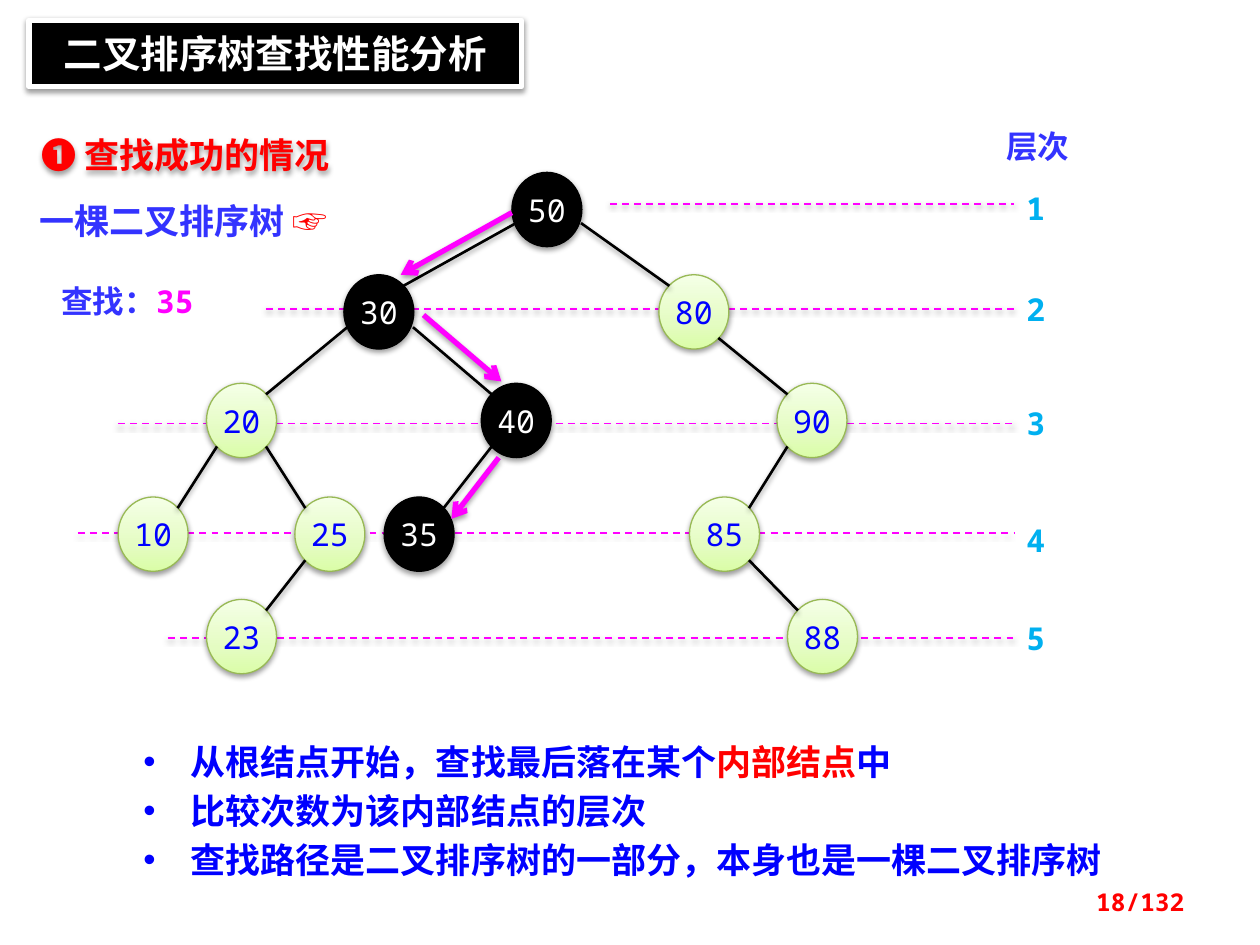
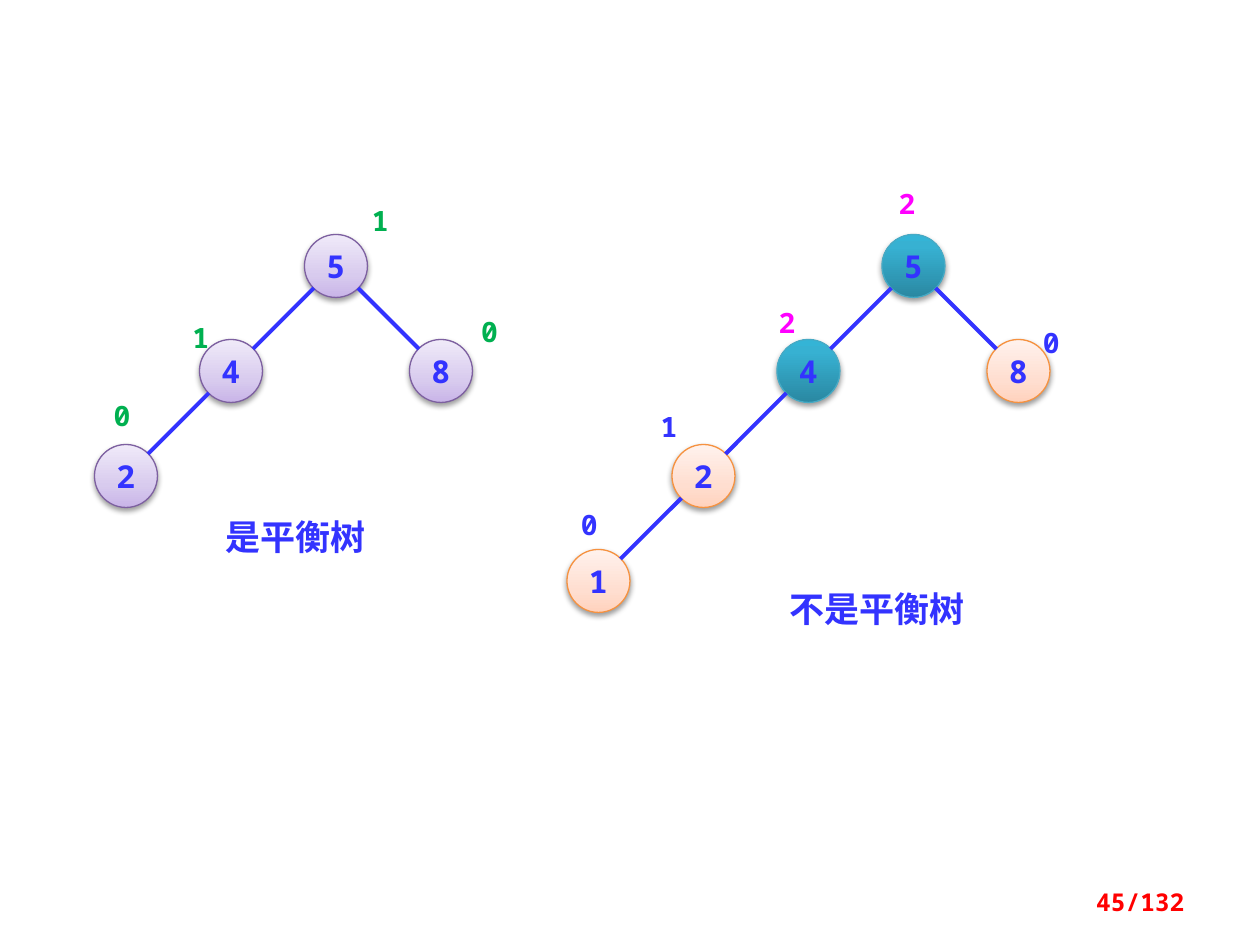
from lxml import etree
from pptx import Presentation
from pptx.dml.color import RGBColor
from pptx.enum.dml import MSO_LINE
from pptx.enum.shapes import MSO_CONNECTOR, MSO_SHAPE
from pptx.enum.text import MSO_ANCHOR, MSO_AUTO_SIZE, PP_ALIGN
from pptx.oxml import parse_xml
from pptx.oxml.ns import nsdecls, qn
from pptx.util import Pt

# Shared colours and fonts
BLACK = RGBColor(0x00, 0x00, 0x00)
WHITE = RGBColor(0xFF, 0xFF, 0xFF)
RED = RGBColor(0xFF, 0x00, 0x00)
BLUE = RGBColor(0x00, 0x00, 0xFF)
INDIGO = RGBColor(0x33, 0x33, 0xFF)
MAGENTA = RGBColor(0xFF, 0x00, 0xFF)
SKY = RGBColor(0x00, 0xB0, 0xF0)
GREEN = RGBColor(0x00, 0xB0, 0x50)
LIME_EDGE = RGBColor(0x98, 0xB9, 0x55)
LILAC_EDGE = RGBColor(0x7D, 0x60, 0xA0)
PEACH_EDGE = RGBColor(0xF6, 0x92, 0x40)
TEAL_EDGE = RGBColor(0x46, 0xAA, 0xC5)

# Gradient stops, from bottom to top
LIME = [(0, RGBColor(0xDA, 0xFD, 0xA7)), (35, RGBColor(0xE4, 0xFC, 0xC2)),
        (100, RGBColor(0xF5, 0xFF, 0xE7))]
LILAC = [(0, RGBColor(0xC9, 0xB5, 0xE8)), (35, RGBColor(0xD8, 0xCB, 0xEE)),
         (100, RGBColor(0xF0, 0xEA, 0xF9))]
PEACH = [(0, RGBColor(0xFF, 0xD2, 0xBD)), (35, RGBColor(0xFF, 0xDE, 0xD0)),
         (100, RGBColor(0xFF, 0xF2, 0xED))]
TEAL = [(0, RGBColor(0x2A, 0x88, 0xA2)), (80, RGBColor(0x37, 0xB1, 0xD2)),
        (100, RGBColor(0x34, 0xB4, 0xD6))]

# Node style: fill, outline, text colour
PLAIN = (LIME, LIME_EDGE, BLUE)
VISITED = (BLACK, BLACK, WHITE)
BALANCED = (LILAC, LILAC_EDGE, INDIGO)
LIGHT = (PEACH, PEACH_EDGE, INDIGO)
HEAVY = (TEAL, TEAL_EDGE, INDIGO)

MONO = "Noto Sans Mono"
CJK = "Noto Sans CJK SC"
SHADOW = (f'<a:effectLst {nsdecls("a")}><a:outerShdw blurRad="40000" dist="20000" '
          'dir="5400000" rotWithShape="0"><a:srgbClr val="000000">'
          '<a:alpha val="38000"/></a:srgbClr></a:outerShdw></a:effectLst>')
NO_SHADOW = f'<a:effectLst {nsdecls("a")}/>'


def put(s, geom, box, paras, size=18, font=MONO, bold=True, fill=None, line=None,
        line_width=0.75, shadow=False, align=PP_ALIGN.LEFT, anchor=MSO_ANCHOR.TOP,
        inset=(7.2, 3.6), grow=True, wrap=True, spacing=None, bullet=False):
    """Add a preset shape, or a text box when geom is None; a run is (text, colour)."""
    box = [Pt(v) for v in box]
    sp = s.shapes.add_shape(geom, *box) if geom else s.shapes.add_textbox(*box)
    if isinstance(fill, list):
        stops = "".join(f'<a:gs pos="{pos * 1000}"><a:srgbClr val="{c}"/></a:gs>'
                        for pos, c in fill)
        sp._element.spPr.insert(2, parse_xml(
            f'<a:gradFill {nsdecls("a")} rotWithShape="1"><a:gsLst>{stops}</a:gsLst>'
            '<a:lin ang="16200000" scaled="0"/></a:gradFill>'))
    elif fill is not None:
        sp.fill.solid()
        sp.fill.fore_color.rgb = fill
    else:
        sp.fill.background()
    if line is not None:
        sp.line.color.rgb = line
        sp.line.width = Pt(line_width)
    else:
        sp.line.fill.background()
    sp._element.spPr.append(parse_xml(SHADOW if shadow else NO_SHADOW))

    tf = sp.text_frame
    tf.word_wrap = wrap
    tf.auto_size = MSO_AUTO_SIZE.SHAPE_TO_FIT_TEXT if grow else MSO_AUTO_SIZE.NONE
    tf.vertical_anchor = anchor
    tf.margin_left = tf.margin_right = Pt(inset[0])
    tf.margin_top = tf.margin_bottom = Pt(inset[1])
    for i, runs in enumerate(paras):
        p = tf.add_paragraph() if i else tf.paragraphs[0]
        if bullet:
            pPr = p._p.get_or_add_pPr()
            pPr.set("marL", str(Pt(27)))
            pPr.set("indent", str(-Pt(27)))
            etree.SubElement(pPr, qn("a:buFont"), typeface="Arial")
            etree.SubElement(pPr, qn("a:buChar"), char="•")
        p.alignment = align
        if spacing:
            p.line_spacing = Pt(spacing)
        for text, color in runs:
            r = p.add_run()
            r.text = text
            r.font.size = Pt(size)
            r.font.bold = bold
            r.font.color.rgb = color
            r.font.name = font
            etree.SubElement(r._r.rPr, qn("a:ea"), typeface=CJK)
    return sp


def link(s, start, end, color, width, shadow=True, dash=False, arrow=False):
    """Add a straight line between two points."""
    c = s.shapes.add_connector(MSO_CONNECTOR.STRAIGHT, *[Pt(v) for v in (*start, *end)])
    c.line.color.rgb = color
    c.line.width = Pt(width)
    if dash:
        c.line.dash_style = MSO_LINE.DASH
    if arrow:
        etree.SubElement(c.line._get_or_add_ln(), qn("a:tailEnd"), type="arrow")
    c._element.spPr.append(parse_xml(SHADOW if shadow else NO_SHADOW))


prs = Presentation()
prs.slide_width, prs.slide_height = Pt(720), Pt(540)
search = prs.slides.add_slide(prs.slide_layouts[6])
balance = prs.slides.add_slide(prs.slide_layouts[6])

# Slide 1: dashed level lines with their numbers (line start, line y, number top)
levels = [(348.5, 116.5, 104.5), (152, 176.5, 162), (67.5, 242, 227.5),
          (44.5, 304.5, 294), (96, 364.5, 350)]
for number, (x, y, top) in enumerate(levels, 1):
    link(search, (x, y), (579.5, y), MAGENTA, 1, dash=True)
    put(search, None, (579.5, top, 28, 29), [[(str(number), SKY)]])

# Trees on both slides: slide, node size, bold text, edge colour and width, nodes, edges.
# An edge may give its own start point.
ROW = [98.5, 157, 219, 284, 342.5]
search_nodes = {
    "50": (292.5, ROW[0], VISITED), "30": (196.5, ROW[1], VISITED),
    "80": (376.5, ROW[1], PLAIN), "20": (118, ROW[2], PLAIN),
    "40": (275, ROW[2], VISITED), "90": (444, ROW[2], PLAIN),
    "10": (67.5, ROW[3], PLAIN), "25": (168.5, ROW[3], PLAIN),
    "35": (219.5, ROW[3], VISITED), "85": (394, ROW[3], PLAIN),
    "23": (118, ROW[4], PLAIN), "88": (450, ROW[4], PLAIN),
}
search_edges = {
    ("50", "30"): (294, 128), ("50", "80"): (332, 127.5),
    ("30", "20"): (198.5, 187), ("30", "40"): (236, 187),
    ("20", "10"): None, ("20", "25"): None, ("25", "23"): None,
    ("40", "35"): None, ("80", "90"): None, ("90", "85"): None, ("85", "88"): None,
}
STEP, TOP = 60, 134
LEFT_ROOT, RIGHT_ROOT = 174, 504
balanced_nodes = {
    "5": (LEFT_ROOT, TOP, BALANCED),
    "4": (LEFT_ROOT - STEP, TOP + STEP, BALANCED),
    "8": (LEFT_ROOT + STEP, TOP + STEP, BALANCED),
    "2": (LEFT_ROOT - 2 * STEP, TOP + 2 * STEP, BALANCED),
}
unbalanced_nodes = {
    "5": (RIGHT_ROOT, TOP, HEAVY),
    "4": (RIGHT_ROOT - STEP, TOP + STEP, HEAVY),
    "8": (RIGHT_ROOT + STEP, TOP + STEP, LIGHT),
    "2": (RIGHT_ROOT - 2 * STEP, TOP + 2 * STEP, LIGHT),
    "1": (RIGHT_ROOT - 3 * STEP, TOP + 3 * STEP, LIGHT),
}
balanced_edges = {("5", "4"): None, ("4", "2"): None, ("5", "8"): None}
unbalanced_edges = {**balanced_edges, ("2", "1"): None}
trees = [
    (search, 40, 42.5, False, BLACK, 1.5, search_nodes, search_edges),
    (balance, 36, 36, True, INDIGO, 2.25, balanced_nodes, balanced_edges),
    (balance, 36, 36, True, INDIGO, 2.25, unbalanced_nodes, unbalanced_edges),
]
for s, w, h, bold, edge_color, edge_width, nodes, edges in trees:
    for key, (x, y, (fill, outline, color)) in nodes.items():
        put(s, MSO_SHAPE.OVAL, (x, y, w, h), [[(key, color)]], bold=bold, fill=fill,
            line=outline, shadow=True, align=PP_ALIGN.CENTER, anchor=MSO_ANCHOR.MIDDLE,
            inset=(0, 3.6), grow=False, wrap=False)
    for (parent, child), start in edges.items():
        (px, py, _), (cx, cy, _) = nodes[parent], nodes[child]
        side = 0.15 if cx < px else 0.85
        start = start or (px + side * w, py + 0.85 * h)
        end = (cx + (1 - side) * w, cy + 0.15 * h)
        link(s, start, end, edge_color, edge_width, shadow=s is search)

# Slide 1: search path arrows
for start, end in [((292.5, 121.5), (229, 157)), ((242, 180), (286.5, 218)),
                   ((285, 261.5), (258, 296.5))]:
    link(search, start, end, MAGENTA, 3, arrow=True)

# Slide 1: title, headings and conclusions
put(search, MSO_SHAPE.RECTANGLE, (16.5, 11.5, 281.5, 38), [[("二叉排序树查找性能分析", WHITE)]],
    size=22, font=CJK, fill=BLACK, line=WHITE, line_width=3, shadow=True,
    align=PP_ALIGN.CENTER, inset=(7.2, 5.76))
put(search, None, (16.5, 72.5, 214, 31.5), [[("❶ 查找成功的情况", RED)]],
    size=20, font=CJK, shadow=True)
put(search, None, (22.5, 106.5, 186, 33), [[("一棵二叉排序树 ", INDIGO), ("☞", RED)]],
    size=20, font=CJK, inset=(0, 3.6), spacing=28)
put(search, None, (28, 157.5, 106.5, 29), [[("查找：", INDIGO), ("35", MAGENTA)]])
put(search, None, (568, 69, 62, 29), [[("层次", INDIGO)]], font=CJK)
sp = put(search, MSO_SHAPE.RECTANGLE, (67.5, 410.5, 579.5, 102),
         [[("从根结点开始，查找最后落在某个", BLUE), ("内部结点", RED), ("中", BLUE)],
          [("比较次数为该内部结点的层次", BLUE)],
          [("查找路径是二叉排序树的一部分，本身也是一棵二叉排序树", BLUE)]],
         size=20, fill=WHITE, inset=(7.2, 8.64), spacing=28, bullet=True)
sp.text_frame.margin_left = Pt(14.4)

# Slide 2: captions
for caption, x, y, w in [("是平衡树", 121.5, 291, 120), ("不是平衡树", 444, 332, 210)]:
    put(balance, MSO_SHAPE.RECTANGLE, (x, y, w, 31.5), [[(caption, INDIGO)]],
        size=20, line=WHITE)

# Slide 2: balance factors beside the nodes
factors = [("0", 65, 228, GREEN), ("1", 110, 183, GREEN), ("0", 275, 179.5, GREEN),
           ("1", 212.5, 116.5, GREEN), ("0", 332, 290, INDIGO), ("1", 377.5, 234, INDIGO),
           ("2", 445, 174.5, MAGENTA), ("0", 596, 186, INDIGO), ("2", 513.5, 106.5, MAGENTA)]
for factor, x, y, color in factors:
    put(balance, None, (x, y, 14, 19.5), [[(factor, color)]], size=16, inset=(0, 0))

# Page numbers
for s, number in [(search, "18/132"), (balance, "45/132")]:
    put(s, None, (516, 500.5, 168, 29), [[(number, RED)]], size=14,
        align=PP_ALIGN.RIGHT, anchor=MSO_ANCHOR.MIDDLE, grow=False)

prs.save("out.pptx")
